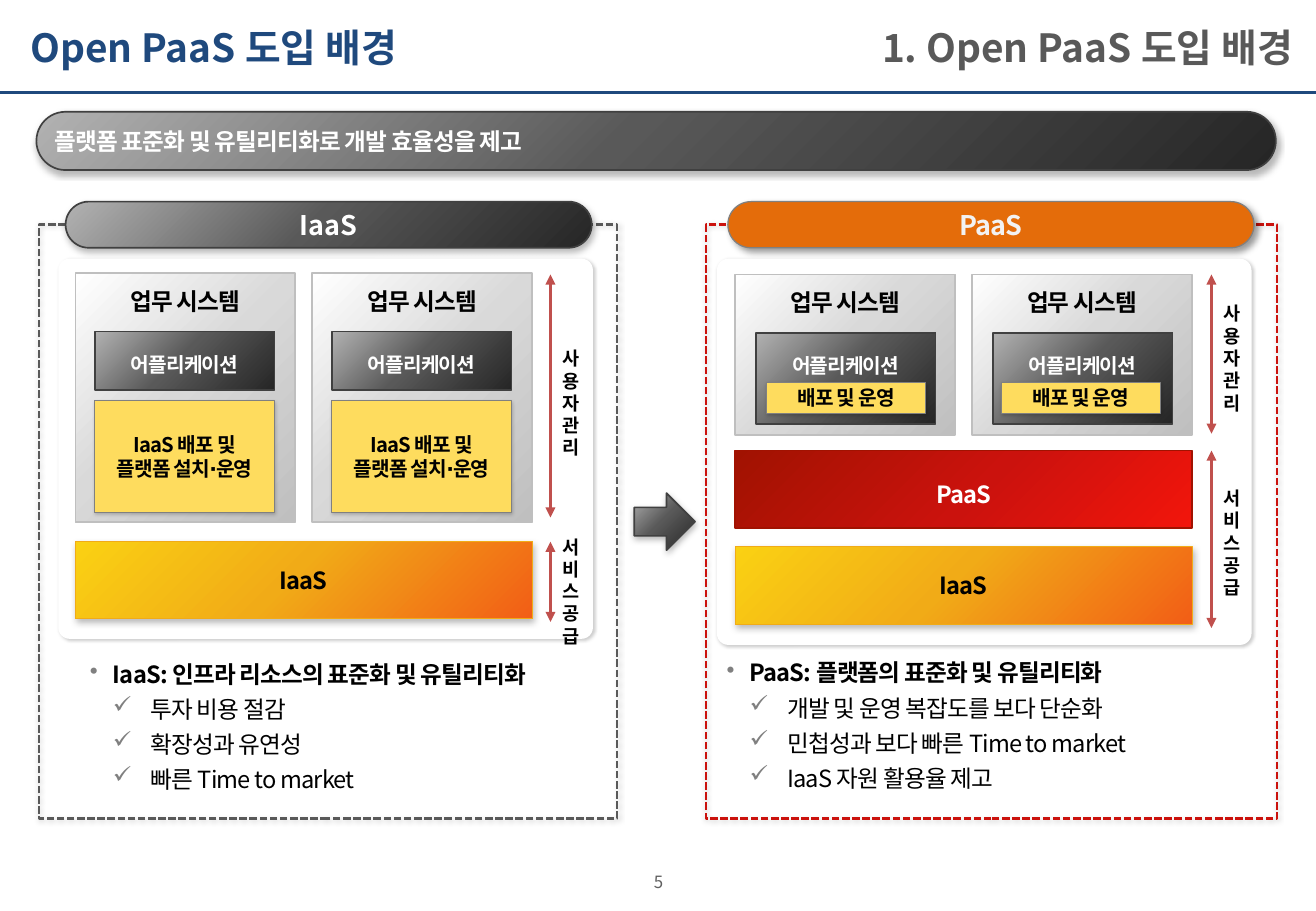
from dataclasses import dataclass

import lxml.etree
import pptx
import pptx.dml.color
import pptx.enum.dml
import pptx.enum.shapes
import pptx.enum.text
import pptx.oxml.ns
import pptx.util

FONT = "Noto Sans CJK KR"
COLOURS = {
    "navy": "1F497D", "black": "000000", "white": "FFFFFF", "pale": "F2F2F2",
    "silver": "D9D9D9", "light": "BFBFBF", "steel": "B2B2B2", "grey": "808080",
    "page": "5F5F5F", "dark": "595959", "edge": "404040", "coal": "262626",
    "yellow": "FAD113", "amber": "F1AB17", "flame": "F25E16", "sand": "FEDC5E",
    "scarlet": "F2150C", "red": "CB120D", "maroon": "A11201",
    "orange": "E46C0A", "arrow": "C0504D",
}
Inches, Pt, qn = pptx.util.Inches, pptx.util.Pt, pptx.oxml.ns.qn
Shapes = pptx.enum.shapes.MSO_SHAPE
Align, Anchor = pptx.enum.text.PP_ALIGN, pptx.enum.text.MSO_ANCHOR


@dataclass(frozen=True)
class Shadow:
    opacity: int
    blur: float
    distance: float
    angle: int


@dataclass(frozen=True)
class Style:
    fill: tuple[str, ...] = ()
    line: str = ""
    width: float = 1
    shadow: Shadow | None = None
    shape: Shapes = Shapes.RECTANGLE
    corner: float | None = None
    radial: bool = False
    dashed: bool = False
    size: float = 14
    colour: str = "black"
    spacing: float = -0.5
    line_spacing: float | None = None
    align: Align = Align.CENTER
    anchor: Anchor = Anchor.MIDDLE
    top_inset: float = 0.08


@dataclass(frozen=True)
class Box:
    """A shape; with a pitch it stands twice, side by side."""
    style: Style
    left: float
    top: float
    width: float
    height: float
    text: str = ""
    pitch: float = 0


@dataclass(frozen=True)
class Span:
    """A vertical double arrow with a label of one character a line."""
    left: float
    top: float
    bottom: float
    label_top: float
    label: str


@dataclass(frozen=True)
class Bullets:
    left: float
    top: float
    width: float
    height: float
    lines: tuple[str, ...]


DEEP, SOFT = Shadow(28, 4, 2, 70), Shadow(20, 2, 1, 70)
METAL = ("steel", "dark", "coal")
ROUND = Shapes.ROUNDED_RECTANGLE
BANNER = Style(METAL, "edge", 1, DEEP, ROUND, 0.5, colour="white", align=Align.LEFT)
IAAS_LABEL = Style(METAL, "edge", 1, DEEP, ROUND, 0.5, size=16, colour="white", spacing=0)
PAAS_LABEL = Style(("orange",), "grey", 0.75, Shadow(40, 4, 3, 45), ROUND, 0.5,
                   size=16, colour="pale")
PANEL = Style(("white",), shadow=Shadow(20, 2, 1, 45), shape=ROUND, corner=0.03)
SYSTEM = Style(("white", "silver", "light"), "light", anchor=Anchor.TOP, top_inset=0.11)
APPLICATION = Style(METAL, "edge", size=12, colour="white", line_spacing=1.3)
TOP_APPLICATION = Style(METAL, "edge", size=12, colour="white", line_spacing=1.3,
                        anchor=Anchor.TOP, top_inset=0.11)
TASK = Style(("sand",), "grey", 0.5, SOFT, size=12)
IAAS = Style(("yellow", "amber", "flame"), "amber", 0.25, DEEP)
PAAS = Style(("scarlet", "red", "maroon"), "maroon", radial=True, colour="white",
             line_spacing=1.3)
IAAS_FRAME = Style(line="dark", width=1.5, shadow=Shadow(20, 3, 1, 67), dashed=True)
PAAS_FRAME = Style(line="red", width=1.5, shadow=Shadow(20, 3, 1, 67), dashed=True)
BLOCK_ARROW = Style(METAL, "edge", 1, DEEP, Shapes.RIGHT_ARROW)

BOXES = (
    Box(BANNER, 0.3, 0.92, 10.2, 0.48, "플랫폼 표준화 및 유틸리티화로 개발 효율성을 제고"),
    Box(PANEL, 0.48, 2.13, 4.4, 3.13),
    Box(IAAS, 0.62, 4.46, 3.76, 0.63, "IaaS"),
    Box(SYSTEM, 0.62, 2.25, 1.81, 2.05, "업무 시스템", 1.95),
    Box(APPLICATION, 0.78, 2.73, 1.48, 0.48, "어플리케이션", 1.95),
    Box(TASK, 0.78, 3.3, 1.48, 0.92, "IaaS 배포 및\n플랫폼 설치∙운영", 1.95),
    Box(PANEL, 5.9, 2.13, 4.4, 3.18),
    Box(IAAS, 6.05, 4.5, 3.76, 0.64, "IaaS"),
    Box(SYSTEM, 6.05, 2.26, 1.81, 1.32, "업무 시스템", 1.95),
    Box(TOP_APPLICATION, 6.22, 2.74, 1.48, 0.75, "어플리케이션", 1.95),
    Box(TASK, 6.31, 3.15, 1.31, 0.25, "배포 및 운영", 1.93),
    Box(PAAS, 6.05, 3.71, 3.76, 0.64, "PaaS"),
    Box(BLOCK_ARROW, 5.22, 4.06, 0.5, 0.47),
    Box(IAAS_FRAME, 0.32, 1.85, 4.76, 4.89),
    Box(IAAS_LABEL, 0.54, 1.66, 4.33, 0.38, "IaaS"),
    Box(PAAS_FRAME, 5.81, 1.85, 4.7, 4.89),
    Box(PAAS_LABEL, 5.99, 1.66, 4.33, 0.38, "PaaS"),
)
SPANS = (
    Span(4.53, 2.26, 4.26, 2.81, "사용자관리"),
    Span(4.53, 4.46, 5.12, 4.36, "서비스공급"),
    Span(9.97, 2.26, 3.57, 2.44, "사용자관리"),
    Span(9.97, 3.71, 5.17, 3.96, "서비스공급"),
)
BULLETS = (
    Bullets(5.78, 5.38, 4.74, 1.14, (
        "PaaS: 플랫폼의 표준화 및 유틸리티화", "개발 및 운영 복잡도를 보다 단순화",
        "민첩성과 보다 빠른 Time to market", "IaaS 자원 활용율 제고")),
    Bullets(0.54, 5.39, 4.33, 1.32, (
        "IaaS: 인프라 리소스의 표준화 및 유틸리티화", "투자 비용 절감",
        "확장성과 유연성", "빠른 Time to market")),
)


def rgb(name: str) -> pptx.dml.color.RGBColor:
    return pptx.dml.color.RGBColor.from_string(COLOURS[name])


def add_element(parent, tag: str, **attributes):
    values = {key: str(value) for key, value in attributes.items()}
    return lxml.etree.SubElement(parent, qn(tag), values)


def format_runs(paragraph, size: float, colour: str, bold: bool = True, spacing: float = 0) -> None:
    for run in paragraph.runs:
        run.font.size, run.font.bold, run.font.name = Pt(size), bold, FONT
        run.font.color.rgb = rgb(colour)
        properties = run.font._element
        add_element(properties, "a:ea", typeface=FONT)
        if spacing:
            properties.set("spc", str(int(spacing * 100)))


def set_insets(frame, left: float, top: float, right: float, bottom: float) -> None:
    frame.margin_left, frame.margin_top = Inches(left), Inches(top)
    frame.margin_right, frame.margin_bottom = Inches(right), Inches(bottom)


def add_text(slide, left: float, top: float, width: float, height: float, text: str):
    box = slide.shapes.add_textbox(Inches(left), Inches(top), Inches(width), Inches(height))
    box.text_frame.word_wrap = True
    box.text_frame.text = text
    return box.text_frame


def apply_fill(shape, style: Style) -> None:
    if not style.fill:
        shape.fill.background()
    elif len(style.fill) == 1:
        shape.fill.solid()
        shape.fill.fore_color.rgb = rgb(style.fill[0])
    else:
        shape.fill.gradient()
        gradient = shape._element.spPr.find(qn("a:gradFill"))
        for child in list(gradient):
            gradient.remove(child)
        stops = add_element(gradient, "a:gsLst")
        for position, name in zip((0, 47, 100), style.fill):
            stop = add_element(stops, "a:gs", pos=position * 1000)
            add_element(stop, "a:srgbClr", val=COLOURS[name])
        if style.radial:
            centre = add_element(gradient, "a:path", path="circle")
            add_element(centre, "a:fillToRect", l=100000, t=100000)
        else:
            add_element(gradient, "a:lin", ang=45 * 60000, scaled=0)


def apply_shadow(shape, shadow: Shadow | None) -> None:
    shape.shadow.inherit = False
    if shadow:
        effects = shape._element.spPr.find(qn("a:effectLst"))
        outer = add_element(effects, "a:outerShdw", blurRad=Pt(shadow.blur), dist=Pt(shadow.distance),
                            dir=shadow.angle * 60000, algn="tl", rotWithShape=0)
        colour = add_element(outer, "a:srgbClr", val=COLOURS["black"])
        add_element(colour, "a:alpha", val=shadow.opacity * 1000)


def add_box(slide, box: Box, left: float) -> None:
    style = box.style
    shape = slide.shapes.add_shape(style.shape, Inches(left), Inches(box.top),
                                   Inches(box.width), Inches(box.height))
    if style.corner is not None:
        shape.adjustments[0] = style.corner
    apply_fill(shape, style)
    if style.line:
        shape.line.color.rgb = rgb(style.line)
        shape.line.width = Pt(style.width)
        if style.dashed:
            shape.line.dash_style = pptx.enum.dml.MSO_LINE.SQUARE_DOT
    else:
        shape.line.fill.background()
    apply_shadow(shape, style.shadow)
    if box.text:
        frame = shape.text_frame
        frame.text, frame.word_wrap, frame.vertical_anchor = box.text, True, style.anchor
        set_insets(frame, 0.08, style.top_inset, 0.08, 0.08)
        for paragraph in frame.paragraphs:
            paragraph.alignment = style.align
            paragraph.line_spacing = style.line_spacing
            format_runs(paragraph, style.size, style.colour, spacing=style.spacing)


def add_line(slide, start: tuple[float, float], end: tuple[float, float], colour: str,
             arrows: bool = False) -> None:
    line = slide.shapes.add_connector(pptx.enum.shapes.MSO_CONNECTOR.STRAIGHT,
                                      *map(Inches, start + end))
    line.line.color.rgb, line.line.width = rgb(colour), Pt(1.5)
    if arrows:
        for end_tag in ("a:headEnd", "a:tailEnd"):
            add_element(line.line._get_or_add_ln(), end_tag, type="triangle")
    add_element(line._element.spPr, "a:effectLst")


def add_span(slide, span: Span) -> None:
    add_line(slide, (span.left, span.top), (span.left, span.bottom), "arrow", arrows=True)
    frame = add_text(slide, span.left, span.label_top, 0.44, 0.95, span.label)
    format_runs(frame.paragraphs[0], 11, "black")


def add_bullets(slide, bullets: Bullets) -> None:
    frame = add_text(slide, bullets.left, bullets.top, bullets.width, bullets.height,
                     "\n".join(bullets.lines))
    set_insets(frame, 0.2, 0.04, 0.1, 0.05)
    for index, paragraph in enumerate(frame.paragraphs):
        heading = index == 0
        margin, hanging, mark = (0.19, 0.19, "•") if heading else (0.5, 0.31, "✓")
        properties = paragraph._p.get_or_add_pPr()
        properties.set("marL", str(Inches(margin)))
        properties.set("indent", str(-Inches(hanging)))
        add_element(add_element(properties, "a:buClr"), "a:srgbClr", val=COLOURS["grey"])
        add_element(properties, "a:buChar", char=mark)
        if not heading:
            paragraph.space_before = Pt(4)
        format_runs(paragraph, 14, "black", heading, -0.5)


def add_headings(slide) -> None:
    title = slide.shapes.title
    title.left, title.top, title.width, title.height = map(Inches, (0.15, 0.03, 8.01, 0.71))
    title.text_frame.text = "Open PaaS 도입 배경"
    section = add_text(slide, 6.49, 0.03, 4.25, 0.71, "1. Open PaaS 도입 배경")
    page = add_text(slide, 4.83, 7.18, 1.18, 0.16, "5")
    set_insets(page, 0, 0, 0, 0)
    for frame, align, size, colour, bold in (
            (title.text_frame, Align.LEFT, 23, "navy", True),
            (section, Align.RIGHT, 23, "dark", True),
            (page, Align.CENTER, 10, "page", False)):
        frame.auto_size = pptx.enum.text.MSO_AUTO_SIZE.NONE
        frame.vertical_anchor = Anchor.MIDDLE
        frame.paragraphs[0].alignment = align
        format_runs(frame.paragraphs[0], size, colour, bold)
    add_line(slide, (0, 0.76), (10.83, 0.76), "navy")


def main() -> None:
    presentation = pptx.Presentation()
    presentation.slide_width, presentation.slide_height = Inches(10.83), Inches(7.5)
    slide = presentation.slides.add_slide(presentation.slide_layouts[5])
    add_headings(slide)
    for box in BOXES:
        for column in range(2 if box.pitch else 1):
            add_box(slide, box, box.left + column * box.pitch)
    for span in SPANS:
        add_span(slide, span)
    for bullets in BULLETS:
        add_bullets(slide, bullets)
    presentation.save("out.pptx")


if __name__ == "__main__":
    main()
